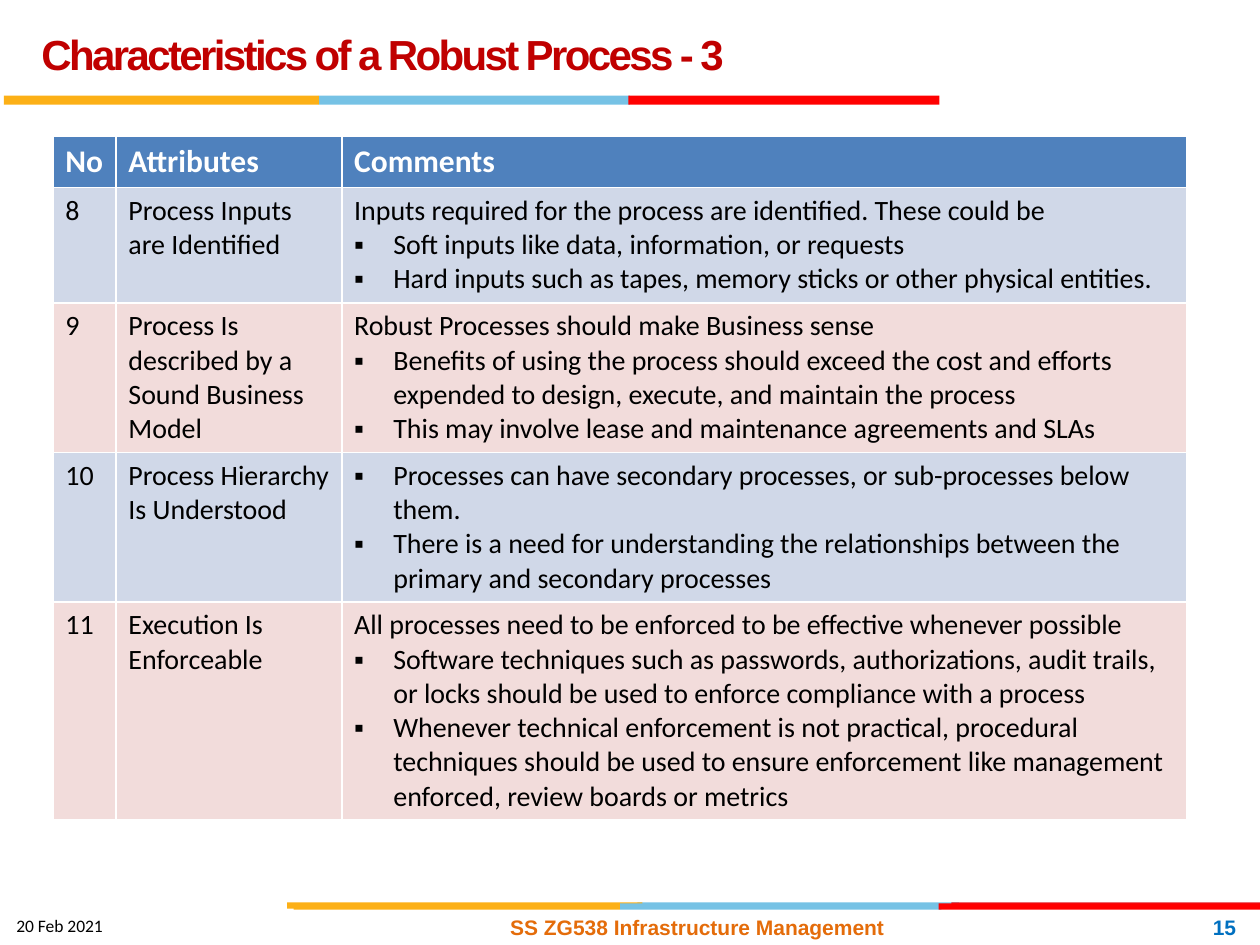
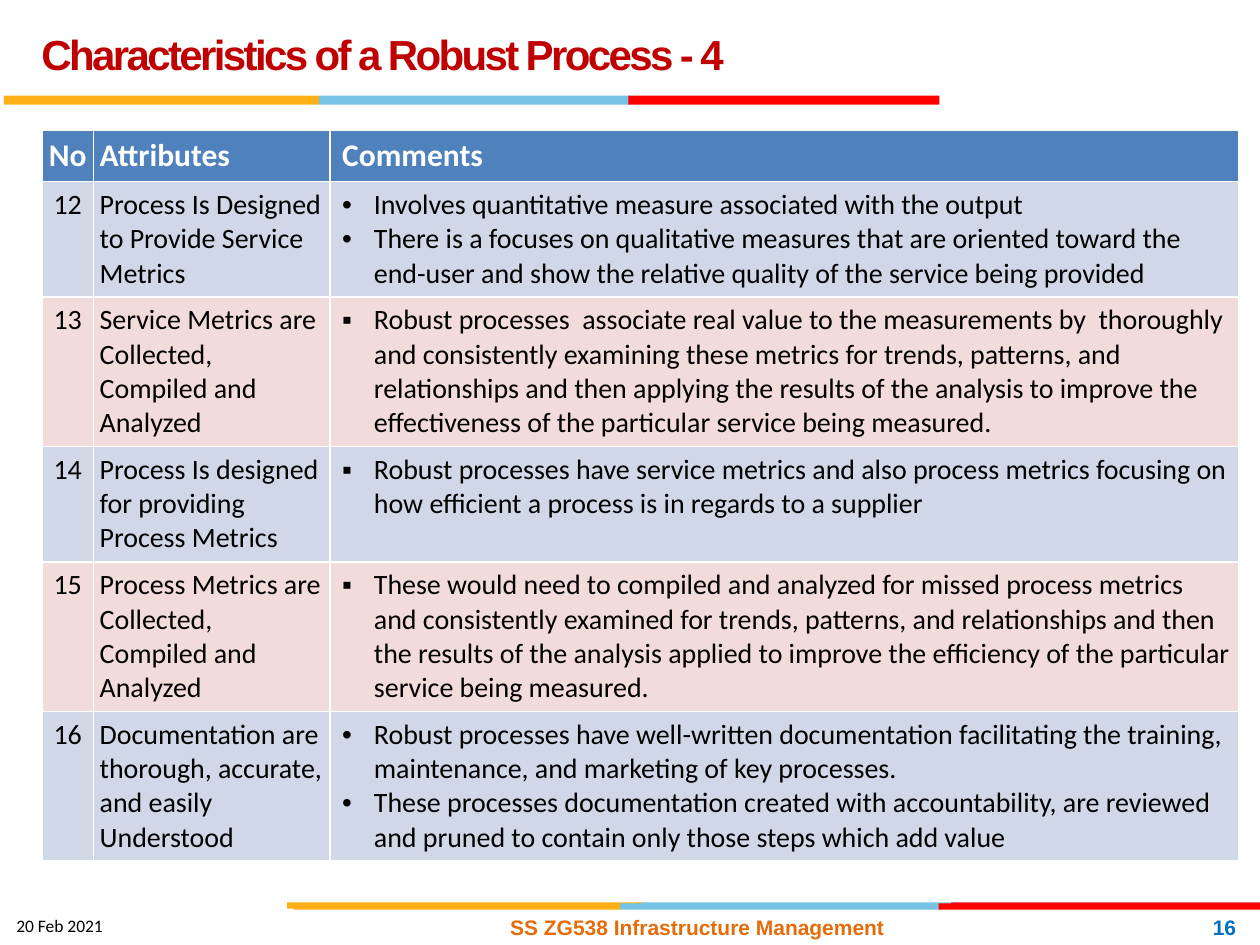
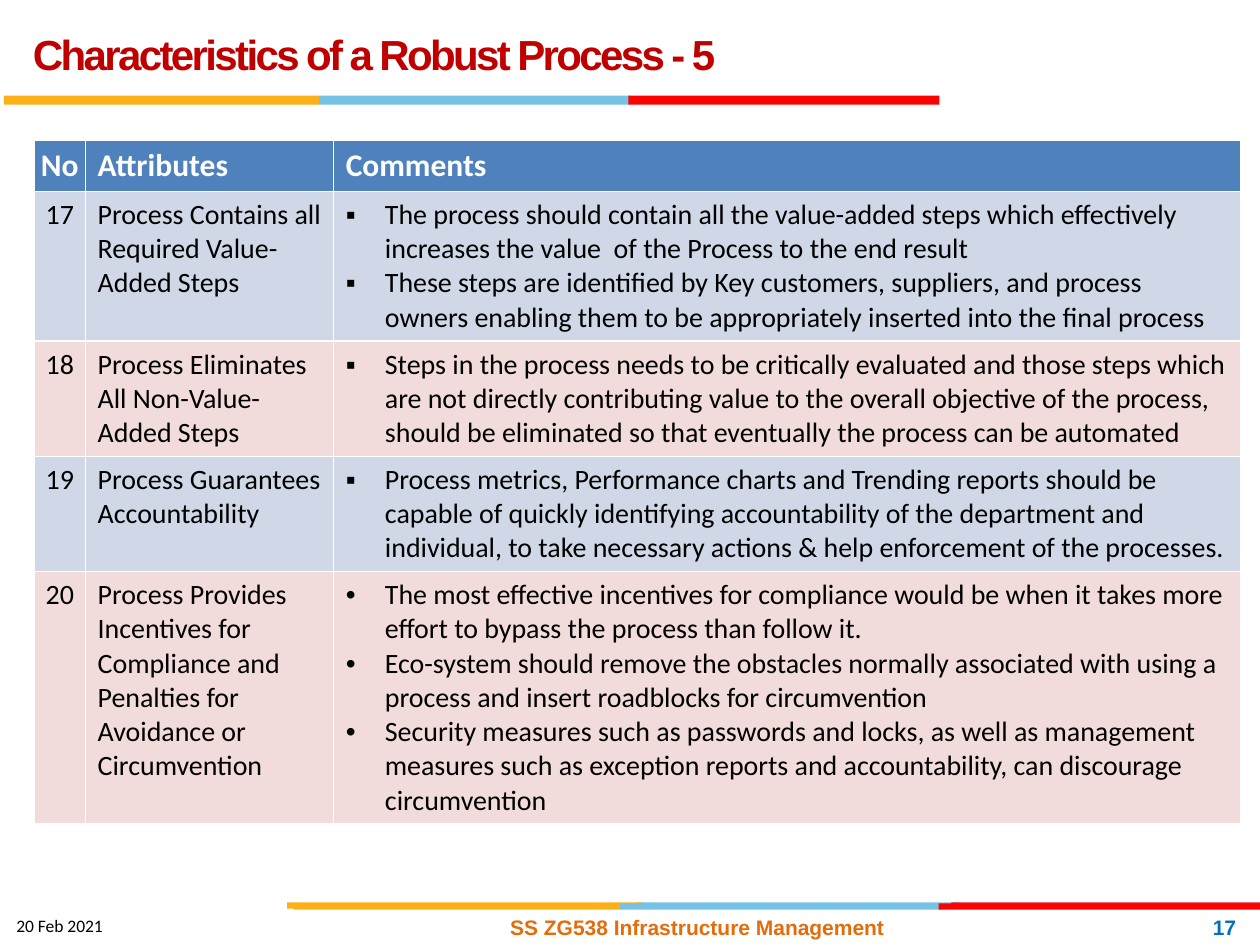
import dataclasses

import pptx
import pptx.dml.color
import pptx.enum.shapes
import pptx.enum.text
import pptx.oxml
import pptx.oxml.ns
import pptx.util

Cm = pptx.util.Cm
Pt = pptx.util.Pt
ALIGN = pptx.enum.text.PP_ALIGN
ANCHOR = pptx.enum.text.MSO_ANCHOR


@dataclasses.dataclass(frozen=True)
class Theme:
    heading_font: str = "Arial"
    body_font: str = "Calibri"
    title_size: int = 24
    header_size: int = 18
    body_size: int = 16
    footer_size: int = 12
    date_size: int = 10
    title: str = "C00000"
    header: str = "4F81BD"
    odd_row: str = "D0D8E8"
    even_row: str = "F2DCDB"
    text: str = "000000"
    white: str = "FFFFFF"
    course: str = "E46C0A"
    number: str = "0070C0"
    amber: str = "FCB017"
    sky: str = "76C2E5"
    crimson: str = "E31C24"
    red: str = "FF0000"


theme = Theme()


def color(value):
    return pptx.dml.color.RGBColor.from_string(value)


def write(frame, text, *, font=theme.body_font, size=theme.body_size, ink=theme.text,
          bold=False, align=ALIGN.LEFT, hang=0.79, spacing=None, tracking=None):
    """Write one paragraph per line; lines that start with ▪ or • become bullets."""
    for index, line in enumerate(text.split("\n")):
        para = frame.paragraphs[0] if index == 0 else frame.add_paragraph()
        para.alignment = align
        if spacing:
            para.line_spacing = Pt(spacing)
        if line[0] in "▪•":
            props = para._p.get_or_add_pPr()
            props.set("marL", str(Cm(hang)))
            props.set("indent", str(-Cm(hang)))
            for tag, key, value in (("a:buFont", "typeface", "Arial"), ("a:buChar", "char", line[0])):
                bullet = pptx.oxml.parse_xml(f"<{tag} {pptx.oxml.ns.nsdecls('a')}/>")
                bullet.set(key, value)
                props.append(bullet)
            line = line[2:]
        span = para.add_run()
        span.text = line
        span.font.name, span.font.size, span.font.bold = font, Pt(size), bold
        span.font.color.rgb = color(ink)
        if tracking:
            span._r.get_or_add_rPr().set("spc", str(int(tracking * 100)))


# Shared bands: left, top, width, height in cm, colour
BANDS = [
    (12.85, 18.19, 6.48, 0.13, theme.sky),
    (19.18, 18.19, 6.22, 0.13, theme.crimson),
    (5.79, 18.19, 7.16, 0.13, theme.amber),
    (12.5, 18.21, 6.48, 0.13, theme.sky),
    (5.92, 18.21, 6.58, 0.13, theme.amber),
    (18.92, 18.21, 6.48, 0.13, theme.red),
    (6.43, 1.93, 6.27, 0.18, theme.sky),
    (0.08, 1.93, 6.35, 0.18, theme.amber),
    (12.67, 1.93, 6.27, 0.18, theme.red),
]
HEADINGS = ["No", "Attributes", "Comments"]
WIDE = (0.25, 0.25)
NARROW = (0.13, 0.13)

# Each row: attribute, comments, number of text lines it holds
PAGES = [
    dict(part=3, number=15, first=8, title_left=0.58, left=1.07, top=2.74,
         columns=[1.27, 4.55, 17.04], hang=0.79, number_align=ALIGN.LEFT,
         header_margins=[WIDE, WIDE, WIDE], body_margins=[WIDE, WIDE, WIDE],
         rows=[
             ("Process Inputs are Identified",
              "Inputs required for the process are identified. These could be\n"
              "▪ Soft inputs like data, information, or requests\n"
              "▪ Hard inputs such as tapes, memory sticks or other physical entities.", 3),
             ("Process Is described by a Sound Business Model",
              "Robust Processes should make Business sense\n"
              "▪ Benefits of using the process should exceed the cost and efforts expended "
              "to design, execute, and maintain the process\n"
              "▪ This may involve lease and maintenance agreements and SLAs", 4),
             ("Process Hierarchy Is Understood",
              "▪ Processes can have secondary processes, or sub-processes below them.\n"
              "▪ There is a need for understanding the relationships between the primary "
              "and secondary processes", 4),
             ("Execution Is Enforceable",
              "All processes need to be enforced to be effective whenever possible\n"
              "▪ Software techniques such as passwords, authorizations, audit trails, or locks "
              "should be used to enforce compliance with a process\n"
              "▪ Whenever technical enforcement is not practical, procedural techniques should "
              "be used to ensure enforcement like management enforced, review boards or metrics", 6),
         ]),
    dict(part=4, number=16, first=12, title_left=0.58, left=0.85, top=2.62,
         columns=[1.03, 4.77, 18.33], hang=0.64, number_align=ALIGN.CENTER,
         header_margins=[NARROW, NARROW, WIDE], body_margins=[NARROW, NARROW, (0.25, 0.13)],
         rows=[
             ("Process Is Designed to Provide Service Metrics",
              "• Involves quantitative measure associated with the output\n"
              "• There is a focuses on qualitative measures that are oriented toward the end-user "
              "and show the relative quality of the service being provided", 3),
             ("Service Metrics are Collected, Compiled and Analyzed",
              "▪ Robust processes  associate real value to the measurements by  thoroughly and "
              "consistently examining these metrics for trends, patterns, and relationships and "
              "then applying the results of the analysis to improve the effectiveness of the "
              "particular service being measured.", 4),
             ("Process Is designed for providing Process Metrics",
              "▪ Robust processes have service metrics and also process metrics focusing on how "
              "efficient a process is in regards to a supplier", 3),
             ("Process Metrics are Collected, Compiled and Analyzed",
              "▪ These would need to compiled and analyzed for missed process metrics and "
              "consistently examined for trends, patterns, and relationships and then the results "
              "of the analysis applied to improve the efficiency of the particular service being "
              "measured.", 4),
             ("Documentation are thorough, accurate, and easily Understood",
              "• Robust processes have well-written documentation facilitating the training, "
              "maintenance, and marketing of key processes.\n"
              "• These processes documentation created with accountability, are reviewed and "
              "pruned to contain only those steps which add value", 4),
         ]),
    dict(part=5, number=17, first=17, title_left=0.41, left=0.69, top=2.82,
         columns=[1.03, 5.0, 18.29], hang=0.79, number_align=ALIGN.CENTER,
         header_margins=[NARROW, WIDE, WIDE], body_margins=[(0, 0), (0.25, 0), WIDE],
         rows=[
             ("Process Contains all Required Value-Added Steps",
              "▪ The process should contain all the value-added steps which effectively increases "
              "the value  of the Process to the end result\n"
              "▪ These steps are identified by Key customers, suppliers, and process owners "
              "enabling them to be appropriately inserted into the final process", 4),
             ("Process Eliminates All Non-Value-Added Steps",
              "▪ Steps in the process needs to be critically evaluated and those steps which are "
              "not directly contributing value to the overall objective of the process, should be "
              "eliminated so that eventually the process can be automated", 3),
             ("Process Guarantees Accountability",
              "▪ Process metrics, Performance charts and Trending reports should be capable of "
              "quickly identifying accountability of the department and individual, to take "
              "necessary actions & help enforcement of the processes.", 3),
             ("Process Provides Incentives for Compliance and Penalties for Avoidance or Circumvention",
              "• The most effective incentives for compliance would be when it takes more effort "
              "to bypass the process than follow it.\n"
              "• Eco-system should remove the obstacles normally associated with using a process "
              "and insert roadblocks for circumvention\n"
              "• Security measures such as passwords and locks, as well as management measures "
              "such as exception reports and accountability, can discourage circumvention", 7),
         ]),
]

deck = pptx.Presentation()
deck.slide_width, deck.slide_height = Cm(25.4), Cm(19.05)

for content in PAGES:
    page = deck.slides.add_slide(deck.slide_layouts[5])

    # Bands under the title and above the footer
    for left, top, width, height, fill in BANDS:
        band = page.shapes.add_shape(pptx.enum.shapes.MSO_SHAPE.RECTANGLE,
                                     Cm(left), Cm(top), Cm(width), Cm(height))
        band.shadow.inherit = False
        band.fill.solid()
        band.fill.fore_color.rgb = color(fill)
        band.line.fill.background()

    # Title
    title = page.shapes.title
    title.left, title.top = Cm(content["title_left"]), Cm(0.23)
    title.width, title.height = Cm(19.51), Cm(1.45)
    title.text_frame.auto_size = pptx.enum.text.MSO_AUTO_SIZE.NONE
    title.text_frame.vertical_anchor = ANCHOR.MIDDLE
    write(title.text_frame, f"Characteristics of a Robust Process - {content['part']}",
          font=theme.heading_font, size=theme.title_size, ink=theme.title, bold=True,
          spacing=36, tracking=-1.5)

    # Table, with row heights that follow the number of text lines
    heights = [1.04] + [0.2 + 0.68 * lines for _, _, lines in content["rows"]]
    table = page.shapes.add_table(len(heights), len(HEADINGS), Cm(content["left"]), Cm(content["top"]),
                                  Cm(sum(content["columns"])), Cm(sum(heights))).table
    for column, width in zip(table.columns, content["columns"]):
        column.width = Cm(width)
    for row, height in zip(table.rows, heights):
        row.height = Cm(height)

    records = [HEADINGS] + [(str(number), attribute, comments) for number, (attribute, comments, _)
                            in enumerate(content["rows"], content["first"])]
    for row_index, record in enumerate(records):
        is_header = row_index == 0
        fill = theme.header if is_header else theme.odd_row if row_index % 2 else theme.even_row
        margins = content["header_margins" if is_header else "body_margins"]
        for column_index, text in enumerate(record):
            cell = table.cell(row_index, column_index)
            cell.fill.solid()
            cell.fill.fore_color.rgb = color(fill)
            cell.margin_left, cell.margin_right = map(Cm, margins[column_index])
            write(cell.text_frame, text, bold=is_header, hang=content["hang"],
                  size=theme.header_size if is_header else theme.body_size,
                  ink=theme.white if is_header else theme.text,
                  align=content["number_align"] if column_index == 0 else ALIGN.LEFT)

    # Footer: date, course and page number
    footer = dict(font=theme.heading_font, size=theme.footer_size, bold=True)
    for left, top, width, height, text, style in (
        (0.08, 18.31, 2.29, 0.69, "20 Feb 2021", dict(size=theme.date_size)),
        (9.96, 18.19, 8.2, 1.02, "SS ZG538 Infrastructure Management",
         dict(footer, ink=theme.course, align=ALIGN.CENTER)),
        (19.25, 18.19, 5.92, 1.02, str(content["number"]),
         dict(footer, ink=theme.number, align=ALIGN.RIGHT)),
    ):
        box = page.shapes.add_textbox(Cm(left), Cm(top), Cm(width), Cm(height))
        box.text_frame.word_wrap = True
        box.text_frame.vertical_anchor = ANCHOR.MIDDLE
        write(box.text_frame, text, **style)

deck.save("out.pptx")
